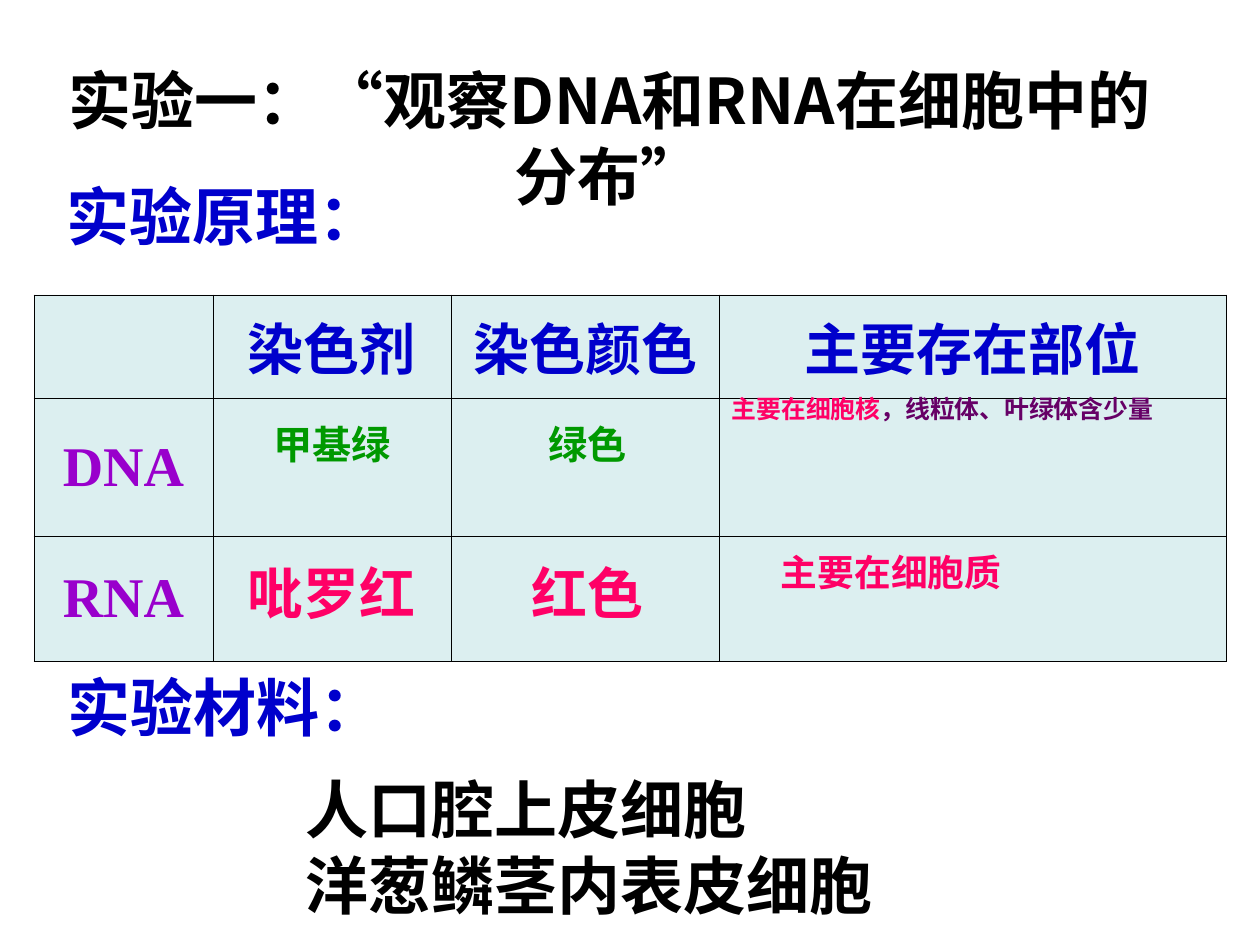
from dataclasses import dataclass

from lxml import etree
from pptx import Presentation
from pptx.dml.color import RGBColor
from pptx.enum.text import MSO_ANCHOR, MSO_AUTO_SIZE, PP_ALIGN
from pptx.oxml.ns import qn
from pptx.util import Inches, Pt

LEFT, MID = PP_ALIGN.LEFT, PP_ALIGN.CENTER
TOP, CENTER = MSO_ANCHOR.TOP, MSO_ANCHOR.MIDDLE
GROW, FIXED = MSO_AUTO_SIZE.SHAPE_TO_FIT_TEXT, MSO_AUTO_SIZE.NONE
ARIAL, TIMES, NOTO = "Arial", "Times New Roman", "Noto Sans CJK SC"
HUES = {
    "black": "000000",
    "blue": "0000CC",
    "purple": "9900CC",
    "plum": "660066",
    "green": "009900",
    "pink": "FF0066",
    "pale": "BBE0E3",
}

WIDE, HIGH = Inches(10), Inches(7.5)
COL, ROW = WIDE / 100, HIGH / 75
SIDES = ("a:lnL", "a:lnR", "a:lnT", "a:lnB")


@dataclass(frozen=True)
class Style:
    size: float
    face: str
    hue: str
    align: int = LEFT
    gap: float = 1.0


@dataclass(frozen=True)
class Label:
    lines: tuple
    box: tuple
    style: Style
    wrap: bool = True


HEAD = Style(36, NOTO, "black", MID)
TOPIC = Style(36, ARIAL, "blue")
CELLS = Style(36, ARIAL, "black")
FIELD = Style(32, ARIAL, "blue", MID)
ACID = Style(32, TIMES, "purple", MID)
GREEN = Style(22.4, TIMES, "green", MID, 0.8)
RED = Style(32, TIMES, "pink", MID)
CORE = Style(14.2, NOTO, "pink", LEFT, 0.8)
PLASM = Style(21, NOTO, "pink", LEFT, 0.8)

TITLE = Label(("实验一：“观察DNA和RNA在细胞中的分布”",), (2.7, 4.4, 91.3, 13), HEAD)
GRID = (2.7, 23.4)
SPANS = (14.2, 18.9, 21.3, 40.2)
TIERS = (8.2, 11, 9.9)
FIELDS = ("染色剂", "染色颜色", "主要存在部位")
ACIDS = ("DNA", "RNA")
DYE, TINT = (15.3, 22.1), (37.4, 18.5)
NEAR, FAR = (33.6, 4.7), (43.8, 7.2)


def place(spot: tuple, size: tuple) -> tuple:
    return spot[0], size[0], spot[1], size[1]


LABELS = (
    Label(("甲基绿",), place(DYE, NEAR), GREEN),
    Label(("吡罗红",), place(DYE, FAR), RED),
    Label(("红色",), place(TINT, FAR), RED),
    Label(("绿色",), place(TINT, NEAR), GREEN),
    Label(("主要在细胞质",), (61, 43.8, 27.6, 4.7), PLASM),
    Label(("实验材料：",), (4.4, 52.6, 27, 7), TOPIC, False),
    Label(("人口腔上皮细胞", "洋葱鳞茎内表皮细胞"), (23.3, 60.7, 47, 13), CELLS, False),
    Label(("实验原理：",), (4.3, 13.6, 27, 7), TOPIC, False),
)
NUCLEUS = Label(("主要在细胞核",), (57.1, 31.2, 40.6, 4.7), CORE)


def scale(box: tuple) -> list:
    return [round(n * unit) for n, unit in zip(box, (COL, ROW, COL, ROW))]


def paint(font, hue: str) -> None:
    font.color.rgb = RGBColor.from_string(HUES[hue])


def write(frame, lines: tuple, style: Style) -> None:
    for i, line in enumerate(lines):
        para = frame.add_paragraph() if i else frame.paragraphs[0]
        para.text = line
        para.alignment = style.align
        para.line_spacing = style.gap
        para.space_before = Pt(0)
        para.font.size = Pt(style.size)
        para.font.name = style.face
        para.font.bold = True
        paint(para.font, style.hue)


def fill_label(shape, label: Label):
    frame = shape.text_frame
    frame.word_wrap = label.wrap
    frame.vertical_anchor = TOP
    frame.auto_size = FIXED if label.style.gap < 1 else GROW
    write(frame, label.lines, label.style)
    return frame


def add_label(slide, label: Label):
    return fill_label(slide.shapes.add_textbox(*scale(label.box)), label)


def dress(cell) -> None:
    cell.vertical_anchor = CENTER
    cell.fill.solid()
    cell.fill.fore_color.rgb = RGBColor.from_string(HUES["pale"])
    props = cell._tc.get_or_add_tcPr()
    tone = props.find(qn("a:solidFill"))[0]
    etree.SubElement(tone, qn("a:alpha"), val="50000")
    for i, side in enumerate(SIDES):
        line = etree.Element(qn(side), w=str(Pt(0.45)))
        solid = etree.SubElement(line, qn("a:solidFill"))
        etree.SubElement(solid, qn("a:srgbClr"), val=HUES["black"])
        props.insert(i, line)


def add_grid(slide) -> None:
    box = scale((*GRID, sum(SPANS), sum(TIERS)))
    table = slide.shapes.add_table(len(TIERS), len(SPANS), *box).table
    table.first_row = table.horz_banding = False
    for col, span in zip(table.columns, SPANS):
        col.width = round(span * COL)
    for row, tier in zip(table.rows, TIERS):
        row.height = round(tier * ROW)
    for cell in table.iter_cells():
        dress(cell)
    for i, name in enumerate(FIELDS, 1):
        write(table.cell(0, i).text_frame, (name,), FIELD)
    for i, name in enumerate(ACIDS, 1):
        write(table.cell(i, 0).text_frame, (name,), ACID)


def main() -> None:
    deck = Presentation()
    deck.slide_width, deck.slide_height = WIDE, HIGH
    slide = deck.slides.add_slide(deck.slide_layouts[5])
    title = slide.shapes.title
    title.left, title.top, title.width, title.height = scale(TITLE.box)
    fill_label(title, TITLE)
    add_grid(slide)
    para = add_label(slide, NUCLEUS).paragraphs[0]
    rest = para.add_run()
    rest.text = "，线粒体、叶绿体含少量"
    paint(rest.font, "plum")
    for label in LABELS:
        add_label(slide, label)
    deck.save("out.pptx")


if __name__ == "__main__":
    main()
